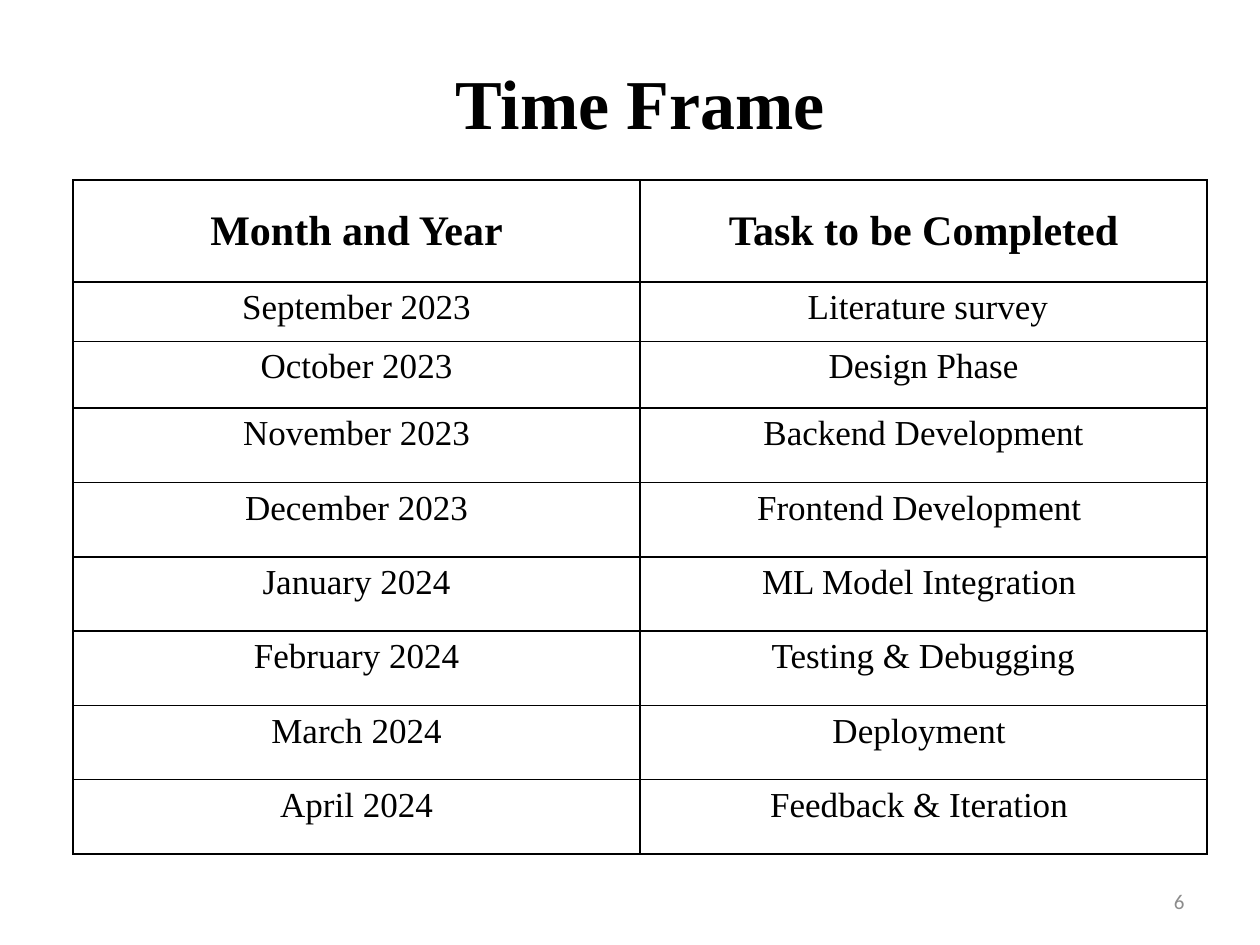
from lxml import etree
from pptx import Presentation
from pptx.dml.color import RGBColor
from pptx.enum.text import MSO_ANCHOR, PP_ALIGN
from pptx.oxml.ns import qn
from pptx.util import Inches, Pt

CENTER, RIGHT = PP_ALIGN.CENTER, PP_ALIGN.RIGHT
TOP, MIDDLE = MSO_ANCHOR.TOP, MSO_ANCHOR.MIDDLE
SERIF = "Times New Roman"
BLACK = "000000"
LEFT, WIDTH = 0.58, 9
TABLE_TOP = 1.43
ROW_HEIGHTS = [0.81, 0.47, 0.53] + [0.59] * 6

SCHEDULE = [
    ("Month and Year", "Task to be Completed"),
    ("September 2023", " Literature survey"),
    ("October 2023", "Design Phase"),
    ("November 2023", "Backend Development"),
    ("December 2023", "Frontend Development "),
    ("January 2024", "ML Model Integration "),
    ("February 2024", " Testing & Debugging "),
    ("March 2024", "Deployment "),
    ("April 2024", "Feedback & Iteration "),
]


def write(tf, text, color=BLACK, align=CENTER, anchor=MIDDLE, **font):
    """Put one formatted run of text into a text frame."""
    tf.word_wrap = True
    tf.vertical_anchor = anchor
    p = tf.paragraphs[0]
    p.alignment = align
    r = p.add_run()
    r.text = text
    r.font.color.rgb = RGBColor.from_string(color)
    for name, value in font.items():
        setattr(r.font, name, value)


def add_borders(cell, color=BLACK, width=Pt(1)):
    """Draw a solid line on all four sides of a table cell."""
    tc_pr = cell._tc.get_or_add_tcPr()
    for i, side in enumerate(("a:lnL", "a:lnR", "a:lnT", "a:lnB")):
        ln = etree.Element(qn(side), w=str(width))
        fill = etree.SubElement(ln, qn("a:solidFill"))
        etree.SubElement(fill, qn("a:srgbClr"), val=color)
        tc_pr.insert(i, ln)


prs = Presentation()
prs.slide_width, prs.slide_height = Inches(10), Inches(7.5)
s = prs.slides.add_slide(prs.slide_layouts[5])

title = s.shapes.title
title.left, title.top = Inches(LEFT), Inches(0.18)
title.width, title.height = Inches(WIDTH), Inches(1.25)
write(title.text_frame, "Time Frame", name=SERIF, size=Pt(40), bold=True)

table = s.shapes.add_table(
    len(SCHEDULE), 2, Inches(LEFT), Inches(TABLE_TOP),
    Inches(WIDTH), Inches(sum(ROW_HEIGHTS))).table
table.first_row = table.horz_banding = False
for row, height in zip(table.rows, ROW_HEIGHTS):
    row.height = Inches(height)

for i, texts in enumerate(SCHEDULE):
    header = i == 0
    for j, text in enumerate(texts):
        cell = table.cell(i, j)
        write(cell.text_frame, text, name=SERIF,
              size=Pt(24 if header else 20), bold=header)
        cell.vertical_anchor = MIDDLE if header else TOP
        cell.fill.background()
        add_borders(cell)

number = s.shapes.add_textbox(Inches(7.17), Inches(6.95), Inches(2.33), Inches(0.4))
write(number.text_frame, "6", color="8C8C8C", align=RIGHT, name="Calibri", size=Pt(12))

prs.save("out.pptx")
